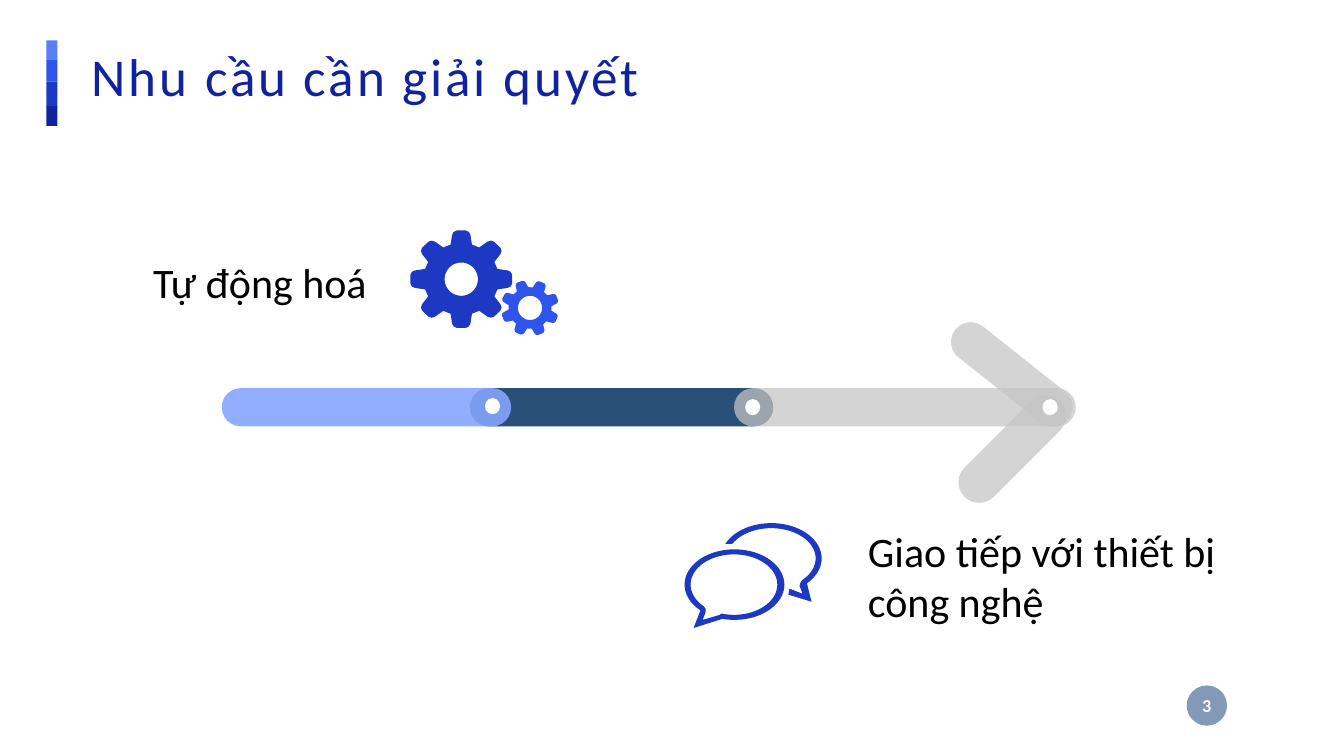
from dataclasses import dataclass
from itertools import accumulate
from math import cos, radians, sin

from lxml.etree import SubElement
from pptx import Presentation
from pptx.dml.color import RGBColor
from pptx.enum.shapes import MSO_SHAPE as Kind
from pptx.enum.text import MSO_ANCHOR as Anchor, MSO_AUTO_SIZE as Fit, PP_ALIGN as Align
from pptx.oxml.ns import qn
from pptx.shapes.autoshape import Shape
from pptx.slide import Slide
from pptx.text.text import TextFrame
from pptx.util import Inches, Pt

FONT = "Calibri"
NAVY, BLUE, BRIGHT, SKY = "10239E", "1D39C4", "2F54EB", "597EF7"
GREY, WHITE, BLACK = "C6C5C5", "FFFFFF", "000000"
Points = list[tuple[float, float]]


@dataclass
class Bar:
    left: float
    top: float
    width: float
    height: float
    color: str
    alpha: int
    turn: float = 0


@dataclass
class Gear:
    x: float
    y: float
    rx: float
    ry: float
    hole: float
    turn: float
    color: str


@dataclass
class Label:
    left: float
    top: float
    width: float
    height: float
    text: str


BARS = [
    Bar(4.66, 3.85, 3.01, 0.38, "143F6A", 91),
    Bar(7.28, 3.85, 3.39, 0.38, GREY, 73),
    Bar(9.32, 3.52, 1.43, 0.39, GREY, 73, 38.4),
    Bar(2.2, 3.85, 2.87, 0.38, "85A5FF", 89),
    Bar(9.37, 4.25, 1.34, 0.41, GREY, 73, 315),
]
GEARS = [
    Gear(4.575, 2.77, 0.505, 0.483, 0.165, 0, BLUE),
    Gear(5.257, 3.055, 0.288, 0.278, 0.12, 24, BRIGHT),
]
DOTS = [(10.34, 3.96), (7.39, 3.96), (4.81, 3.95)]
LABELS = [
    Label(1.42, 2.5, 2.42, 0.61, "Tự động hoá"),
    Label(8.51, 5.16, 3.65, 1.11, "Giao tiếp với thiết bị công nghệ"),
]
STRIPES = [(0.19, SKY), (0.22, BRIGHT), (0.24, BLUE), (0.2, NAVY)]
# Half a tooth: distance from its axis, distance from the hub
TOOTH = [(0.21, 0.71), (0.18, 0.91), (0.15, 0.97), (0.09, 1.0)]


def paint(shape: Shape, color: str, alpha: int = 100) -> None:
    shape.shadow.inherit = False
    shape.line.fill.background()
    shape.fill.solid()
    shape.fill.fore_color.rgb = RGBColor.from_string(color)
    if alpha < 100:
        tone = shape.fill._xPr.find(qn("a:solidFill"))[0]
        SubElement(tone, qn("a:alpha")).set("val", str(alpha * 1000))


def block(slide: Slide, kind: Kind, left: float, top: float, width: float,
          height: float, color: str, alpha: int = 100) -> Shape:
    shape = slide.shapes.add_shape(
        kind, Inches(left), Inches(top), Inches(width), Inches(height))
    paint(shape, color, alpha)
    return shape


def write(frame: TextFrame, text: str, size: float, color: str,
          align: Align = Align.LEFT, bold: bool = False):
    frame.word_wrap = True
    para = frame.paragraphs[0]
    para.alignment = align
    run = para.add_run()
    run.text = text
    font = run.font
    font.name, font.size, font.bold = FONT, Pt(size), bold
    font.color.rgb = RGBColor.from_string(color)
    return run


def arc(x: float, y: float, rx: float, ry: float, start: int, end: int) -> Points:
    """Points on an ellipse, clockwise from the right, in degrees."""
    count = max(2, abs(end - start) // 5)
    turns = [radians(start + (end - start) * i / count) for i in range(count + 1)]
    return [(x + rx * cos(t), y + ry * sin(t)) for t in turns]


def outline(slide: Slide, loops: list[Points], color: str) -> None:
    """One filled shape; later loops cut holes in the first."""
    loops = [[(Inches(x), Inches(y)) for x, y in loop] for loop in loops]
    build = slide.shapes.build_freeform(*loops[0][0])
    for i, loop in enumerate(loops):
        if i:
            build.move_to(*loop[0])
        build.add_line_segments(loop[1:], close=True)
    paint(build.convert_to_shape(), color)


def draw_gear(slide: Slide, gear: Gear) -> None:
    tooth = [(-s, h) for s, h in TOOTH] + TOOTH[::-1]
    rim = []
    for i in range(8):
        t = radians(gear.turn + 45 * i)
        rim += [(gear.x + gear.rx * (s * cos(t) + h * sin(t)),
                 gear.y + gear.ry * (s * sin(t) - h * cos(t))) for s, h in tooth]
    hole = arc(gear.x, gear.y, gear.hole, gear.hole, 360, 0)
    outline(slide, [rim, hole], gear.color)


def draw_chat(slide: Slide) -> None:
    back = (arc(7.65, 5.54, 0.5, 0.35, 204, 405)
            + [(8.05, 5.97), (7.82, 5.9), (7.83, 5.84), (7.96, 5.89),
               (7.93, 5.81), (7.94, 5.78)]
            + arc(7.65, 5.54, 0.44, 0.3, 406, 209))
    front = arc(7.285, 5.8, 0.495, 0.35, 133, 464) + [(6.88, 6.23)]
    inner = (arc(7.28, 5.8, 0.43, 0.3, 134, 467)
             + [(7.14, 6.1), (6.97, 6.15), (7, 6.07), (7, 6.04)])
    outline(slide, [back, front, inner[::-1]], BLUE)


def draw_title(slide: Slide) -> None:
    title = slide.shapes.title
    title.left, title.top = Inches(0.81), Inches(0.4)
    title.width, title.height = Inches(9.25), Inches(0.84)
    frame = title.text_frame
    frame.auto_size, frame.vertical_anchor = Fit.NONE, Anchor.TOP
    frame.margin_left = frame.margin_right = Inches(0.1)
    frame.margin_top = frame.margin_bottom = Inches(0.1)
    run = write(frame, "Nhu cầu cần giải quyết", 38, NAVY)
    run.font._element.set("spc", "200")
    frame.paragraphs[0].line_spacing = 0.9


def draw_page(slide: Slide) -> None:
    badge = block(slide, Kind.OVAL, 11.77, 6.8, 0.4, 0.4, "4E6F9B", 70)
    frame = badge.text_frame
    frame.margin_left = frame.margin_right = Inches(0.02)
    frame.vertical_anchor = Anchor.MIDDLE
    write(frame, "3", 13, WHITE, Align.CENTER, True)


def main() -> None:
    deck = Presentation()
    deck.slide_width, deck.slide_height = Inches(13.33), Inches(7.5)
    slide = deck.slides.add_slide(deck.slide_layouts[5])
    tops = accumulate((high for high, _ in STRIPES), initial=0.4)
    for top, (high, color) in zip(tops, STRIPES):
        block(slide, Kind.RECTANGLE, 0.46, top, 0.11, high, color)
    draw_page(slide)
    draw_title(slide)
    for bar in BARS:
        shape = block(slide, Kind.ROUNDED_RECTANGLE, bar.left, bar.top,
                      bar.width, bar.height, bar.color, bar.alpha)
        shape.adjustments[0] = 0.5
        shape.rotation = bar.turn
    for gear in GEARS:
        draw_gear(slide, gear)
    for left, top in DOTS:
        block(slide, Kind.OVAL, left, top, 0.15, 0.16, WHITE)
    draw_chat(slide)
    for label in LABELS:
        box = slide.shapes.add_textbox(Inches(label.left), Inches(label.top),
                                       Inches(label.width), Inches(label.height))
        write(box.text_frame, label.text, 30, BLACK)
        box.text_frame.auto_size = Fit.SHAPE_TO_FIT_TEXT
    deck.save("out.pptx")


if __name__ == "__main__":
    main()
